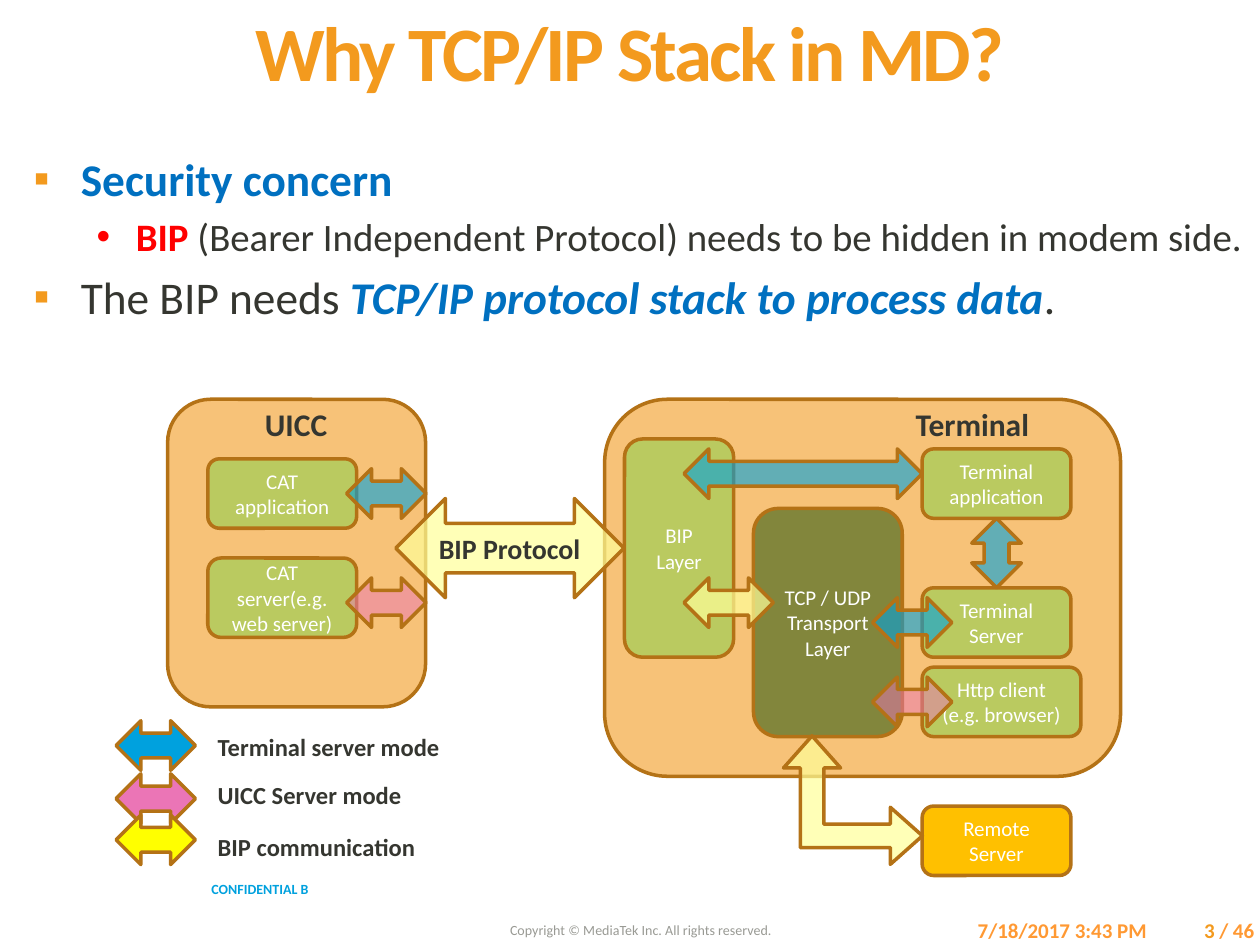
from dataclasses import dataclass
from typing import NamedTuple

from lxml import etree
from pptx import Presentation
from pptx.dml.color import RGBColor
from pptx.enum.shapes import MSO_SHAPE
from pptx.enum.text import MSO_ANCHOR, PP_ALIGN
from pptx.oxml.ns import qn
from pptx.util import Cm, Pt

LEFT, CENTER, RIGHT = PP_ALIGN.LEFT, PP_ALIGN.CENTER, PP_ALIGN.RIGHT
TOP, MIDDLE = MSO_ANCHOR.TOP, MSO_ANCHOR.MIDDLE
RECT, ROUNDED = MSO_SHAPE.RECTANGLE, MSO_SHAPE.ROUNDED_RECTANGLE
DOUBLE_ARROW, BENT_ARROW = MSO_SHAPE.LEFT_RIGHT_ARROW, MSO_SHAPE.LEFT_UP_ARROW


@dataclass(frozen=True)
class Theme:
    face: str = "Calibri"
    orange: str = "F39A1E"
    footer: str = "FF9933"
    outline: str = "B47216"
    ink: str = "353630"
    grey: str = "999A94"
    white: str = "FFFFFF"
    blue: str = "0070C0"
    red: str = "FF0000"
    green: str = "92D050"
    olive: str = "345F14"
    gold: str = "FFC000"
    cyan: str = "00A1DE"
    pink: str = "EB75B6"
    cream: str = "FFFF99"
    yellow: str = "FFFF00"
    title: float = 44
    bullet: float = 25.9
    sub_bullet: float = 22.2
    heading: float = 18
    protocol: float = 16
    legend: float = 14
    body: float = 12
    small: float = 8


THEME = Theme()


class Frame(NamedTuple):
    left: float
    top: float
    width: float
    height: float


class Label(NamedTuple):
    frame: Frame
    text: str
    size: float
    color: str
    bold: bool = True
    align: PP_ALIGN = LEFT
    anchor: MSO_ANCHOR = TOP


class Block(NamedTuple):
    frame: Frame
    color: str
    text: str = ""
    opacity: int = 60
    kind: MSO_SHAPE = ROUNDED
    rotation: int = 0
    adjustments: tuple = ()


class Span(NamedTuple):
    text: str
    color: str
    bold: bool = False
    italic: bool = False


class Bullet(NamedTuple):
    mark: str
    color: str
    indent: float
    hanging: float
    size: float
    spans: tuple


def style(font, size: float, color: str, bold: bool = False, italic: bool = False) -> None:
    font.name, font.size = THEME.face, Pt(size)
    font.bold, font.italic = bold, italic
    font.color.rgb = RGBColor.from_string(color)


def place(frame: Frame) -> list:
    return [Cm(length) for length in frame]


def write(box, label: Label):
    box.text_frame.word_wrap = True
    box.text_frame.vertical_anchor = label.anchor
    para = box.text_frame.paragraphs[0]
    para.text, para.alignment = label.text, label.align
    style(para.font, label.size, label.color, label.bold)
    return para


def draw_label(page, label: Label):
    return write(page.shapes.add_textbox(*place(label.frame)), label)


def draw_block(page, block: Block) -> None:
    shape = page.shapes.add_shape(block.kind, *place(block.frame))
    shape.shadow.inherit = False
    shape.rotation = block.rotation
    for index, value in enumerate(block.adjustments):
        shape.adjustments[index] = value
    shape.fill.solid()
    shape.fill.fore_color.rgb = RGBColor.from_string(block.color)
    if block.opacity < 100:
        tint = shape._element.spPr.find(qn("a:solidFill"))[0]
        etree.SubElement(tint, qn("a:alpha")).set("val", str(block.opacity * 1000))
    shape.line.color.rgb = RGBColor.from_string(THEME.outline)
    shape.line.width = Pt(2)
    if block.text:
        write(shape, Label(block.frame, block.text, THEME.body, THEME.white, False, CENTER, MIDDLE))


def draw_legend_row(page, arrow_top: float, text_top: float, color: str, text: str) -> None:
    draw_block(page, Block(Frame(2.34, arrow_top, 1.6, 1), color, opacity=100, kind=DOUBLE_ARROW))
    frame = Frame(4.14, text_top, 6.6, 0.86)
    box = page.shapes.add_shape(RECT, *place(frame))
    box.shadow.inherit = False
    box.fill.solid()
    box.fill.fore_color.rgb = RGBColor.from_string(THEME.white)
    box.line.fill.background()
    write(box, Label(frame, text, THEME.legend, THEME.ink))


def draw_bullets(page, frame: Frame, bullets: list) -> None:
    text = page.shapes.add_textbox(*place(frame)).text_frame
    text.word_wrap = True
    for index, bullet in enumerate(bullets):
        para = text.add_paragraph() if index else text.paragraphs[0]
        if index:
            para.space_before = Pt(round(bullet.size * 0.2, 1))
        props = para._p.get_or_add_pPr()
        props.set("marL", str(Cm(bullet.indent)))
        props.set("indent", str(-Cm(bullet.hanging)))
        tint = etree.SubElement(props, qn("a:buClr"))
        etree.SubElement(tint, qn("a:srgbClr")).set("val", bullet.color)
        etree.SubElement(props, qn("a:buFont")).set("typeface", "Arial")
        etree.SubElement(props, qn("a:buChar")).set("char", bullet.mark)
        for span in bullet.spans:
            run = para.add_run()
            run.text = span.text
            style(run.font, bullet.size, span.color, span.bold, span.italic)


def arrow(left: float, top: float, width: float, color: str, opacity: int = 60,
          height: float = 1, rotation: int = 0) -> Block:
    return Block(Frame(left, top, width, height), color, "", opacity, DOUBLE_ARROW, rotation)


def node(left: float, top: float, text: str, width: float = 3, height: float = 1.4,
         color: str = THEME.green, opacity: int = 60) -> Block:
    return Block(Frame(left, top, width, height), color, text, opacity)


def main() -> None:
    t = THEME
    deck = Presentation()
    deck.slide_width, deck.slide_height = Cm(25.4), Cm(19.05)
    page = deck.slides.add_slide(deck.slide_layouts[6])

    title = draw_label(page, Label(Frame(1.27, 0.46, 22.86, 3.15), "Why TCP/IP Stack in MD?",
                                   t.title, t.orange, align=CENTER))
    title.line_spacing = 0.8
    title.runs[0]._r.get_or_add_rPr().set("spc", "-150")
    page.shapes[0].text_frame.margin_top = 0

    for label in (
        Label(Frame(4.01, 17.42, 4.47, 1.02), "CONFIDENTIAL B", t.small, t.cyan, anchor=MIDDLE),
        Label(Frame(8.71, 18.24, 8.43, 1.02), "Copyright © MediaTek Inc. All rights reserved.",
              t.small, t.grey, False, CENTER, MIDDLE),
        Label(Frame(19.46, 18.24, 4.47, 1.02), "7/18/2017 3:43 PM", t.body, t.footer, anchor=MIDDLE),
        Label(Frame(24.33, 18.24, 8.43, 1.02), "/ 46", t.body, t.footer, anchor=MIDDLE),
        Label(Frame(21.79, 18.24, 2.95, 1.02), "3", t.body, t.orange, True, RIGHT, MIDDLE),
    ):
        draw_label(page, label)

    draw_bullets(page, Frame(0.43, 2.92, 24.97, 4.29), [
        Bullet("▪", t.orange, 0.95, 0.95, t.bullet, (Span("Security concern", t.blue, True),)),
        Bullet("•", t.red, 2.06, 0.79, t.sub_bullet, (
            Span("BIP ", t.red, True),
            Span("(Bearer Independent Protocol) needs to be hidden in modem side.", t.ink))),
        Bullet("▪", t.orange, 0.95, 0.95, t.bullet, (
            Span("The BIP needs ", t.ink),
            Span("TCP/IP protocol stack to process data", t.blue, True, True),
            Span(".", t.ink))),
    ])

    uicc_left, terminal_left, link_left = 4.19, 18.59, 13.79
    for item in (
        Block(Frame(3.38, 8.05, 5.2, 6.2), t.orange),
        Block(Frame(12.19, 8.05, 10.4, 7.6), t.orange),
        node(uicc_left, 9.25, "CAT application"),
        node(uicc_left, 11.25, "CAT server(e.g. web server)", height=1.6),
        node(terminal_left, 11.85, "Terminal Server"),
        node(terminal_left, 9.05, "Terminal application"),
        Label(Frame(4.75, 8.05, 2.44, 1.02), "UICC", t.heading, t.ink, align=CENTER),
        Label(Frame(18.21, 8.05, 3.07, 1.02), "Terminal", t.heading, t.ink),
        node(terminal_left, 16.25, "Remote Server", color=t.gold, opacity=100),
        arrow(7.98, 10.05, 4.6, t.cream, 70, height=2),
        Label(Frame(8.05, 10.6, 4.45, 0.94), "BIP Protocol", t.protocol, t.ink, align=CENTER),
        node(15.19, 10.25, "TCP / UDP Transport Layer", height=4.6, color=t.olive),
        arrow(19.39, 10.65, 1.4, t.cyan, rotation=90),
        node(12.59, 8.85, "BIP Layer", 2.2, 4.4),
        arrow(link_left, 9.05, 4.8, t.cyan),
        arrow(link_left, 11.65, 1.8, t.cream, 70),
        arrow(17.59, 12.05, 1.6, t.cyan),
        Block(Frame(15.9, 14.73, 2.59, 2.8), t.cream, "", 70, BENT_ARROW, 90, (0.183, 0.222, 0.25)),
        node(terminal_left, 13.45, "Http client (e.g. browser)", 3.2),
        arrow(17.59, 13.65, 1.6, t.pink, 50),
        arrow(6.99, 11.65, 1.6, t.pink, 50),
        arrow(6.99, 9.45, 1.6, t.cyan),
    ):
        if isinstance(item, Label):
            draw_label(page, item)
        else:
            draw_block(page, item)

    draw_legend_row(page, 14.53, 14.63, t.cyan, "Terminal server mode")
    draw_legend_row(page, 15.6, 15.6, t.pink, "UICC Server mode")
    draw_legend_row(page, 16.43, 16.64, t.yellow, "BIP communication")
    deck.save("out.pptx")


if __name__ == "__main__":
    main()
